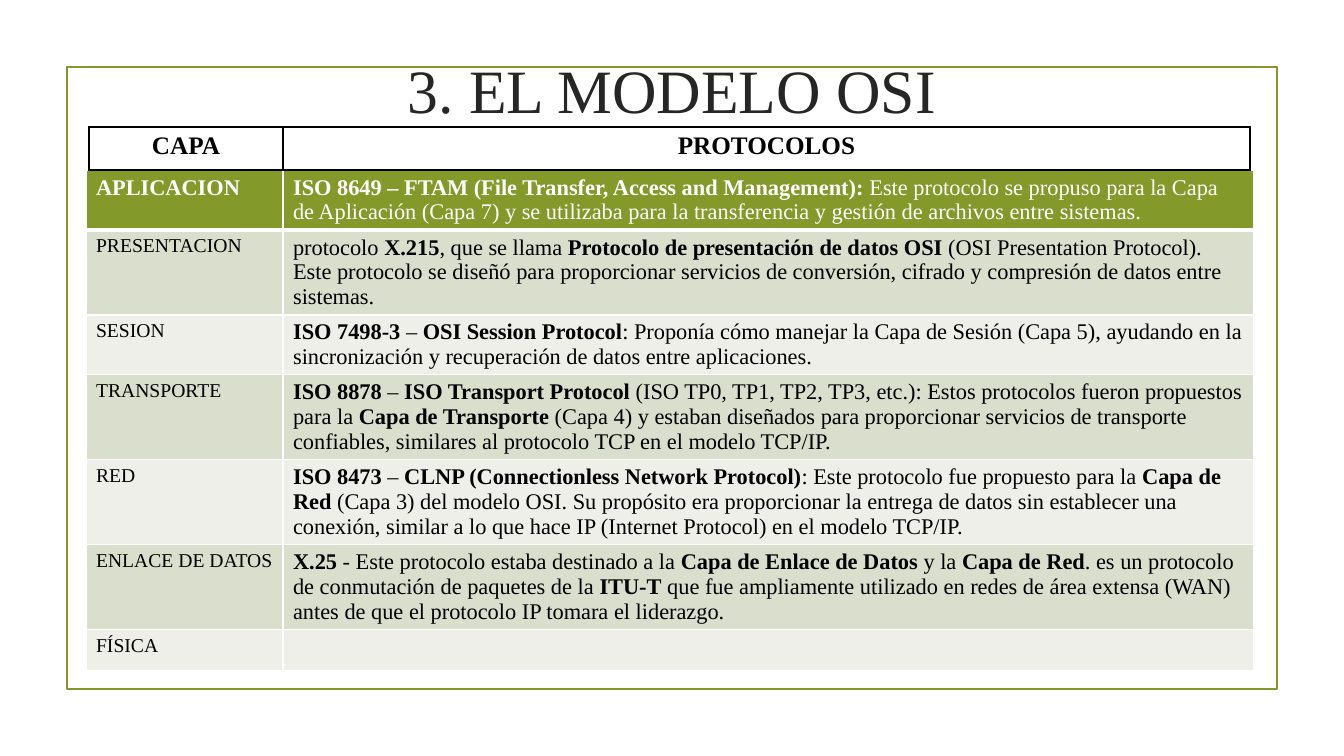
from pptx import Presentation
from pptx.dml.color import RGBColor
from pptx.enum.shapes import MSO_SHAPE
from pptx.enum.text import MSO_ANCHOR, PP_ALIGN
from pptx.oxml.ns import qn
from pptx.util import Emu, Pt
from lxml import etree

RECTANGLE = MSO_SHAPE.RECTANGLE
MIDDLE = MSO_ANCHOR.MIDDLE
CENTER, LEFT = PP_ALIGN.CENTER, PP_ALIGN.LEFT

WHITE = RGBColor(0xFF, 0xFF, 0xFF)
BLACK = RGBColor(0x00, 0x00, 0x00)
DARK = RGBColor(0x26, 0x26, 0x26)
GREEN = RGBColor(0x83, 0x99, 0x2A)
BANDS = [RGBColor(0xED, 0xEF, 0xE8), RGBColor(0xD9, 0xDE, 0xCD)]
FONT = "Times New Roman"

TITLE = "3. EL MODELO OSI"
HEADINGS = ["CAPA", "PROTOCOLOS"]
# Each layer has its protocol text as (text, bold) runs and its line count.
LAYERS = [
    ("APLICACION", 2, [
        ("ISO 8649 – FTAM (File Transfer, Access and Management): ", True),
        ("Este protocolo se propuso para la Capa de Aplicación (Capa 7) y se utilizaba "
         "para la transferencia y gestión de archivos entre sistemas.", False)]),
    ("PRESENTACION", 3, [
        ("protocolo ", False), ("X.215", True), (", que se llama ", False),
        ("Protocolo de presentación de datos OSI", True),
        (" (OSI Presentation Protocol). Este protocolo se diseñó para proporcionar "
         "servicios de conversión, cifrado y compresión de datos entre sistemas.", False)]),
    ("SESION", 2, [
        ("ISO 7498-3 ", True), ("– ", False), ("OSI Session Protocol", True),
        (": Proponía cómo manejar la Capa de Sesión (Capa 5), ayudando en la "
         "sincronización y recuperación de datos entre aplicaciones.", False)]),
    ("TRANSPORTE", 3, [
        ("ISO 8878", True), (" – ", False), ("ISO Transport Protocol", True),
        (" (ISO TP0, TP1, TP2, TP3, etc.): Estos protocolos fueron propuestos para la ", False),
        ("Capa de Transporte", True),
        (" (Capa 4) y estaban diseñados para proporcionar servicios de transporte "
         "confiables, similares al protocolo TCP en el modelo TCP/IP.", False)]),
    ("RED", 3, [
        ("ISO 8473", True), (" – ", False),
        ("CLNP (Connectionless Network Protocol)", True),
        (": Este protocolo fue propuesto para la ", False), ("Capa de Red", True),
        (" (Capa 3) del modelo OSI. Su propósito era proporcionar la entrega de datos sin "
         "establecer una conexión, similar a lo que hace IP (Internet Protocol) en el "
         "modelo TCP/IP.", False)]),
    ("ENLACE DE DATOS", 3, [
        ("X.25 ", True), ("- Este protocolo estaba destinado a la ", False),
        ("Capa de Enlace de Datos", True), (" y la ", False), ("Capa de Red", True),
        (". es un protocolo de conmutación de paquetes de la ", False), ("ITU-T", True),
        (" que fue ampliamente utilizado en redes de área extensa (WAN) antes de que el "
         "protocolo IP tomara el liderazgo.", False)]),
    ("FÍSICA", 1, []),
]

SLIDE_SIZE = (1344, 756)
FRAME_BOX = (67, 67, 1210, 622)
TITLE_BOX = (126, 7, 1092, 163)
HEADING_ORIGIN, HEADING_COLUMNS, HEADING_HEIGHT = (89, 127), (194, 967), 43
LAYER_ORIGIN, LAYER_COLUMNS = (86, 170), (197, 971)
LINE_HEIGHT, CELL_PADDING, MIN_ROW = 25, 10, 41


def px(length):
    return Emu(round(length * 12192000 / 1344))


def add_runs(paragraph, runs, size, color, align=LEFT):
    paragraph.alignment = align
    for text, bold in runs:
        run = paragraph.add_run()
        run.text = text
        font = run.font
        font.name, font.size, font.bold = FONT, Pt(size), bold
        font.color.rgb = color


def set_borders(cell, color, top=1, bottom=1):
    """Border lines have to come before the fill in the cell properties."""
    properties = cell._tc.get_or_add_tcPr()
    for index, (side, width) in enumerate(
            [("lnL", 1), ("lnR", 1), ("lnT", top), ("lnB", bottom)]):
        line = etree.Element(qn(f"a:{side}"), w=str(Pt(width)))
        fill = etree.SubElement(line, qn("a:solidFill"))
        etree.SubElement(fill, qn("a:srgbClr"), val=str(color))
        properties.insert(index, line)


def add_plain_table(slide, origin, widths, heights):
    left, top = origin
    table = slide.shapes.add_table(len(heights), len(widths), px(left), px(top),
                                   px(sum(widths)), px(sum(heights))).table
    table.first_row = table.horz_banding = False
    for column, width in zip(table.columns, widths):
        column.width = px(width)
    for row, height in zip(table.rows, heights):
        row.height = px(height)
    return table


def add_frame(slide):
    frame = slide.shapes.add_shape(RECTANGLE, *map(px, FRAME_BOX))
    frame.shadow.inherit = False
    frame.fill.background()
    frame.line.color.rgb = GREEN
    frame.line.width = Pt(1.25)


def add_title(slide):
    title = slide.shapes.title
    title.left, title.top, title.width, title.height = map(px, TITLE_BOX)
    title.text_frame.vertical_anchor = MIDDLE
    add_runs(title.text_frame.paragraphs[0], [(TITLE, False)], 44, DARK, CENTER)


def add_layers(slide):
    heights = [max(MIN_ROW, lines * LINE_HEIGHT + CELL_PADDING) for _, lines, _ in LAYERS]
    table = add_plain_table(slide, LAYER_ORIGIN, LAYER_COLUMNS, heights)
    for index, (layer, _, protocol) in enumerate(LAYERS):
        first = index == 0
        color = WHITE if first else BLACK
        contents = [([(layer, first)], 16 if first else 14), (protocol, 16)]
        for cell, (runs, size) in zip(table.rows[index].cells, contents):
            cell.fill.solid()
            cell.fill.fore_color.rgb = GREEN if first else BANDS[index % 2]
            set_borders(cell, WHITE, top=3 if index == 1 else 1, bottom=3 if first else 1)
            add_runs(cell.text_frame.paragraphs[0], runs, size, color)


def add_headings(slide):
    table = add_plain_table(slide, HEADING_ORIGIN, HEADING_COLUMNS, [HEADING_HEIGHT])
    for cell, heading in zip(table.rows[0].cells, HEADINGS):
        cell.fill.background()
        set_borders(cell, BLACK)
        add_runs(cell.text_frame.paragraphs[0], [(heading, True)], 18, BLACK, CENTER)


def main():
    presentation = Presentation()
    presentation.slide_width, presentation.slide_height = map(px, SLIDE_SIZE)
    slide = presentation.slides.add_slide(presentation.slide_layouts[5])
    add_frame(slide)
    add_title(slide)
    add_layers(slide)
    add_headings(slide)
    presentation.save("out.pptx")


if __name__ == "__main__":
    main()
